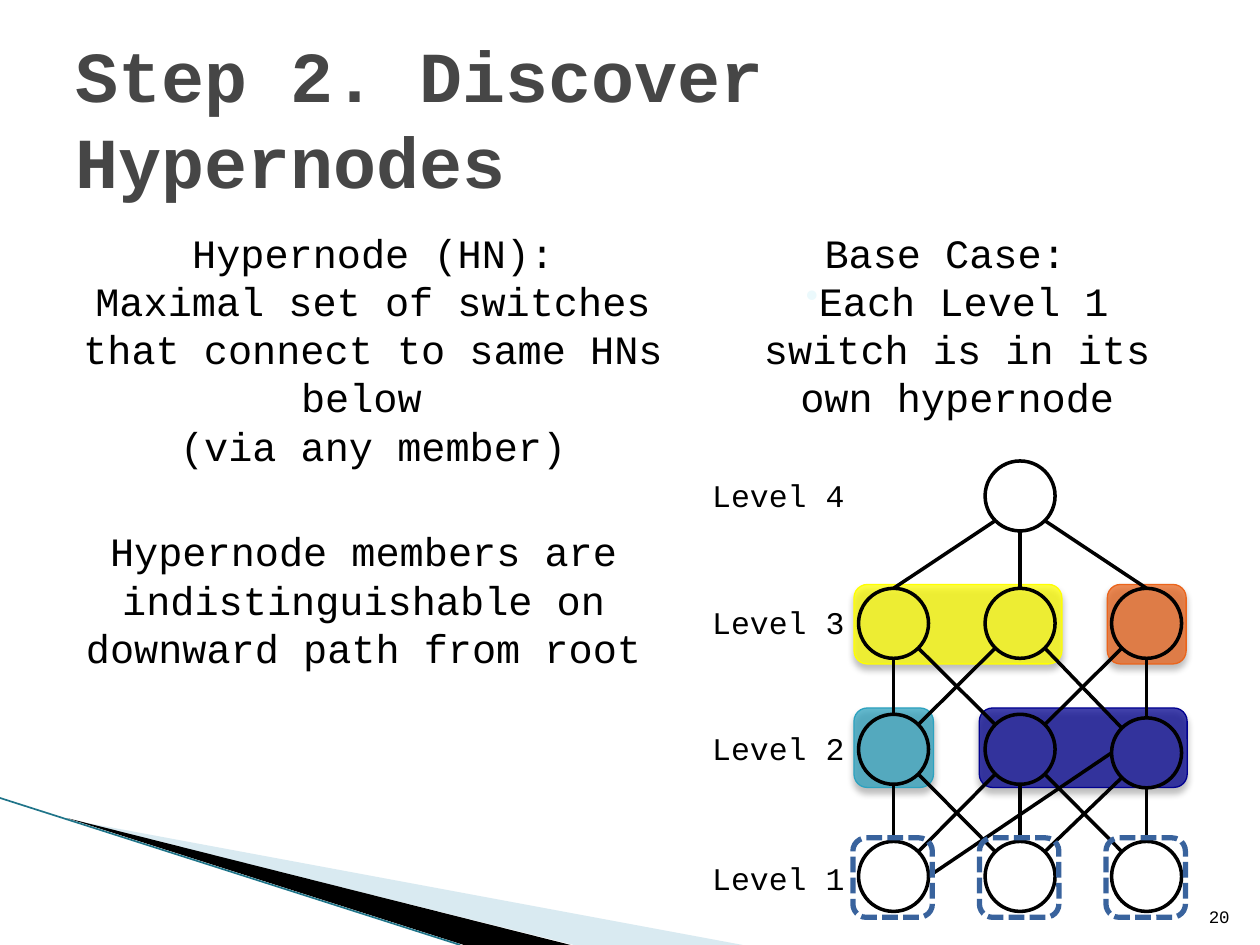
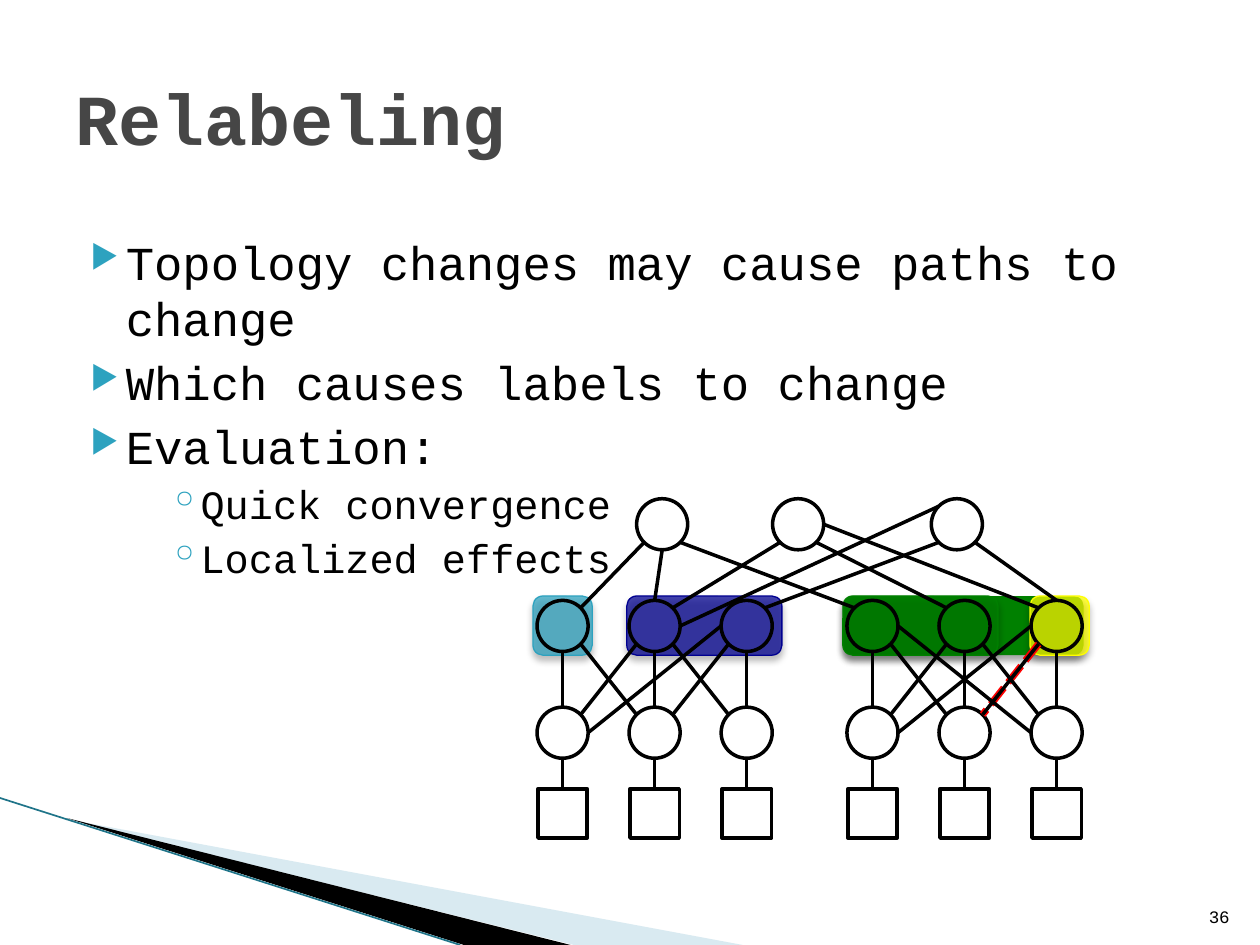
from dataclasses import dataclass
from typing import NamedTuple

from lxml import etree
from pptx import Presentation
from pptx.dml.color import RGBColor
from pptx.enum.dml import MSO_LINE
from pptx.enum.shapes import MSO_CONNECTOR, MSO_SHAPE
from pptx.enum.text import MSO_ANCHOR, PP_ALIGN
from pptx.oxml.ns import qn
from pptx.util import Pt

STRAIGHT = MSO_CONNECTOR.STRAIGHT
ELLIPSE, SQUARE, ROUNDED = MSO_SHAPE.OVAL, MSO_SHAPE.RECTANGLE, MSO_SHAPE.ROUNDED_RECTANGLE
DASHED = MSO_LINE.SQUARE_DOT
TOP, MIDDLE, BOTTOM = MSO_ANCHOR.TOP, MSO_ANCHOR.MIDDLE, MSO_ANCHOR.BOTTOM
LEFT, CENTER, RIGHT = PP_ALIGN.LEFT, PP_ALIGN.CENTER, PP_ALIGN.RIGHT

FONT = "Courier New"
BLACK, TITLE_GRAY, RED = "000000", "464646", "FF0000"
TEAL, NAVY, ORANGE, YELLOW, GREEN = "2DA2BF", "000090", "EB641B", "FFFF00", "008000"
PALE_BLUE, BAND_LINE, DASH_BLUE, FAINT_BULLET = "A0CBDC", "1F7489", "39639D", "EBF9FC"
HYPERNODE_ALPHA = 73

DIAGONAL = 0.707
COMPASS = {
    "N": (0, -1), "S": (0, 1), "W": (-1, 0), "E": (1, 0),
    "NW": (-DIAGONAL, -DIAGONAL), "NE": (DIAGONAL, -DIAGONAL),
    "SW": (-DIAGONAL, DIAGONAL), "SE": (DIAGONAL, DIAGONAL),
}


class Area(NamedTuple):
    left: float
    top: float
    width: float
    height: float


class Node(NamedTuple):
    x: float
    y: float
    radius: float

    def edge(self, side: str) -> tuple[float, float]:
        across, down = COMPASS[side]
        return self.x + across * self.radius, self.y + down * self.radius


class Link(NamedTuple):
    upper: str
    leave: str
    lower: str
    enter: str


class Hypernode(NamedTuple):
    area: Area
    color: str
    alpha: int = HYPERNODE_ALPHA
    outlined: bool = True


class Bullet(NamedTuple):
    mark: str
    color: str
    percent: int = 100
    margin: float = 0
    indent: float = 0


@dataclass(frozen=True)
class Line:
    text: str
    size: float = 23
    align: PP_ALIGN = CENTER
    color: str = BLACK
    bold: bool = False
    bullet: Bullet | None = None
    space_before: float = 0


def rgb(value: str) -> RGBColor:
    return RGBColor.from_string(value)


def points(*values: float) -> list[Pt]:
    return [Pt(round(value, 2)) for value in values]


def paint(shape, fill: str | None, alpha: int = 100) -> None:
    shape.shadow.inherit = False
    if fill is None:
        shape.fill.background()
        return
    shape.fill.solid()
    shape.fill.fore_color.rgb = rgb(fill)
    if alpha < 100:
        tint = shape._element.xpath("./p:spPr/a:solidFill/a:srgbClr")[0]
        etree.SubElement(tint, qn("a:alpha"), val=str(alpha * 1000))


def outline(shape, color: str | None, width: float = 2, dashed: bool = False) -> None:
    if color is None:
        shape.line.fill.background()
        return
    shape.line.color.rgb = rgb(color)
    shape.line.width = Pt(width)
    if dashed:
        shape.line.dash_style = DASHED


def add_shadow(shape) -> None:
    effects = shape._element.spPr.find(qn("a:effectLst"))
    shadow = etree.SubElement(
        effects, qn("a:outerShdw"), blurRad=str(Pt(4)), dist=str(Pt(3)),
        dir="5400000", rotWithShape="0",
    )
    tint = etree.SubElement(shadow, qn("a:srgbClr"), val=BLACK)
    etree.SubElement(tint, qn("a:alpha"), val="35000")


def add_outline_shape(page, kind: MSO_SHAPE, area: Area, color: str = BLACK,
                      width: float = 2, dashed: bool = False):
    shape = page.shapes.add_shape(kind, *points(*area))
    paint(shape, None)
    outline(shape, color, width, dashed)
    return shape


def add_hypernode(page, hypernode: Hypernode) -> None:
    shape = page.shapes.add_shape(ROUNDED, *points(*hypernode.area))
    paint(shape, hypernode.color, hypernode.alpha)
    outline(shape, hypernode.color if hypernode.outlined else None, 0.75)
    add_shadow(shape)


def add_line(page, start: tuple[float, float], end: tuple[float, float],
             color: str = BLACK, width: float = 2, dashed: bool = False):
    line = page.shapes.add_connector(STRAIGHT, *points(*start, *end))
    outline(line, color, width, dashed)
    etree.SubElement(line._element.spPr, qn("a:effectLst"))
    return line


def add_node(page, node: Node) -> None:
    size = 2 * node.radius
    add_outline_shape(page, ELLIPSE,
                      Area(node.x - node.radius, node.y - node.radius, size, size))


def add_link(page, nodes: dict[str, Node], link: Link, color: str = BLACK,
             width: float = 2, dashed: bool = False) -> None:
    add_line(page, nodes[link.upper].edge(link.leave), nodes[link.lower].edge(link.enter),
             color, width, dashed)


def add_band(page, corners: list[tuple[float, float]], color: str, alpha: int = 100) -> None:
    start, *others = corners
    builder = page.shapes.build_freeform(*points(*start), scale=1.0)
    builder.add_line_segments([points(*corner) for corner in others], close=True)
    band = builder.convert_to_shape()
    paint(band, color, alpha)
    outline(band, None)


def set_bullet(para, bullet: Bullet) -> None:
    properties = para._p.get_or_add_pPr()
    properties.set("marL", str(Pt(bullet.margin)))
    properties.set("indent", str(Pt(bullet.indent)))
    tint = etree.SubElement(properties, qn("a:buClr"))
    etree.SubElement(tint, qn("a:srgbClr"), val=bullet.color)
    etree.SubElement(properties, qn("a:buSzPct"), val=str(bullet.percent * 1000))
    etree.SubElement(properties, qn("a:buChar"), char=bullet.mark)


def add_text(page, area: Area, lines: list[Line], anchor: MSO_ANCHOR = TOP) -> None:
    frame = page.shapes.add_textbox(*points(*area)).text_frame
    frame.word_wrap = True
    frame.vertical_anchor = anchor
    for index, line in enumerate(lines):
        para = frame.add_paragraph() if index else frame.paragraphs[0]
        para.text = line.text
        para.alignment = line.align
        if line.bullet:
            set_bullet(para, line.bullet)
        if index and line.space_before:
            para.space_before = Pt(line.space_before)
        para.font.name = FONT
        para.font.size = Pt(line.size)
        para.font.bold = line.bold
        para.font.color.rgb = rgb(line.color)


def add_page(deck, title: str, number: int):
    page = deck.slides.add_slide(deck.slide_layouts[6])
    add_band(page, [(39.6, 468.4), (424.4, 540), (328, 540)], PALE_BLUE, 40)
    add_band(page, [(38.2, 467.5), (326, 540), (265, 540)], BLACK)
    add_line(page, (0, 456), (263, 540), BAND_LINE, 0.95)
    add_text(page, Area(36, 21.6, 648, 90),
             [Line(title, 41, LEFT, TITLE_GRAY, True)], MIDDLE)
    add_text(page, Area(681, 504.7, 28.8, 28.8), [Line(str(number), 10, RIGHT)], BOTTOM)
    return page


def pod_links(upper: str, lower: str) -> list[Link]:
    links = [Link(f"{upper}{n}", "S", f"{lower}{n}", "N") for n in (1, 2, 3)]
    for n in (1, 2):
        links.append(Link(f"{upper}{n}", "SE", f"{lower}{n + 1}", "NW"))
        links.append(Link(f"{upper}{n + 1}", "SW", f"{lower}{n}", "NE"))
    return links + [Link(f"{upper}3", "W", f"{lower}1", "E")]


def build_hypernodes(deck) -> None:
    page = add_page(deck, "Step 2. Discover Hypernodes", 20)
    add_text(page, Area(36, 126.7, 355, 136), [
        Line("Hypernode (HN):"),
        Line("Maximal set of switches that connect to same HNs below "),
        Line("(via any member)"),
    ])
    add_text(page, Area(20.9, 297.4, 374.4, 126.7), [
        Line("Hypernode members are indistinguishable on downward path from root"),
    ])
    add_text(page, Area(410.4, 126.7, 273.6, 100.8), [
        Line("Base Case: "),
        Line("Each Level 1 switch is in its own hypernode",
             bullet=Bullet("•", FAINT_BULLET, 90)),
    ])

    for hypernode in (
        Hypernode(Area(488, 404.6, 45.4, 45.4), TEAL),
        Hypernode(Area(559.6, 404.6, 118.8, 45.4), NAVY),
        Hypernode(Area(632.8, 334, 45, 45.4), ORANGE),
        Hypernode(Area(488, 334, 118.8, 45.4), YELLOW),
    ):
        add_hypernode(page, hypernode)

    radius = 20
    columns = [510.6 + 72.3 * n for n in range(3)]
    rows = {"high": 356.2, "mid": 428.2, "low": 500.8}
    nodes = {f"{row}{n}": Node(x, y, radius)
             for row, y in rows.items() for n, x in enumerate(columns, 1)}
    nodes["mid3"] = nodes["mid3"]._replace(y=430.2)
    nodes["root"] = Node(columns[1], 283.4, radius)
    links = pod_links("mid", "low")
    links += [link for link in pod_links("high", "mid")
              if link.leave != "W" and link[::2] != ("high2", "mid2")]
    links += [Link("root", side, f"high{n}", "N") for n, side in enumerate(("SW", "S", "SE"), 1)]
    for node in nodes.values():
        add_node(page, node)
    for link in links:
        add_link(page, nodes, link)

    for x in columns:
        add_outline_shape(page, ROUNDED, Area(x - 23.2, 478.8, 45.4, 45.4), DASH_BLUE, 3, True)
    for level, top in enumerate((487.4, 413.3, 341.3, 268.6), 1):
        add_text(page, Area(395.3, top, 94.3, 28.8), [Line(f"Level {level}", 18, RIGHT)])


def build_relabeling(deck) -> None:
    page = add_page(deck, "Relabeling", 36)
    top, height = 340.6, 33.8
    for hypernode in (
        Hypernode(Area(481.7, top, 137.5, height), GREEN, 100, False),
        Hypernode(Area(588.6, top, height, height), YELLOW),
        Hypernode(Area(481.7, top, 88.6, height), GREEN),
        Hypernode(Area(304.6, top, height, height), TEAL),
        Hypernode(Area(358.2, top, 88.6, height), NAVY),
    ):
        add_hypernode(page, hypernode)

    point = Bullet("▶", TEAL, 68, 28.8, -20.2)
    detail = Bullet("◦", TEAL, 100, 71.3, -18)
    statements = ("Topology changes may cause paths to change",
                  "Which causes labels to change", "Evaluation:")
    effects = ("Quick convergence", "Localized effects")
    add_text(page, Area(36, 129.6, 648, 365),
             [Line(text, 27, LEFT, bullet=point, space_before=4) for text in statements]
             + [Line(text, 23, LEFT, bullet=detail, space_before=3.2) for text in effects])

    radius, host_size = 14.6, 28.2
    nodes = {f"root{n}": Node(x, 299.6, radius) for n, x in enumerate((378.4, 456.1, 546.8), 1)}
    for pod, first in (("left", 321.5), ("right", 498.6)):
        for row, y in (("upper", 357.7), ("lower", 418.7)):
            for n in range(3):
                nodes[f"{pod}_{row}{n + 1}"] = Node(first + 52.6 * n, y, radius)

    failed = Link("right_upper3", "SW", "right_lower2", "NE")
    links = [link for pod in ("left", "right")
             for link in pod_links(f"{pod}_upper", f"{pod}_lower")]
    links += [
        Link("right_upper1", "E", "right_lower3", "W"),
        Link("root1", "SW", "left_upper1", "NE"),
        Link("root1", "S", "left_upper2", "N"),
        Link("root1", "SE", "right_upper1", "NW"),
        Link("root2", "SW", "left_upper2", "NE"),
        Link("root2", "SE", "right_upper2", "NW"),
        Link("root2", "E", "right_upper3", "NW"),
        Link("root3", "NW", "left_upper2", "E"),
        Link("root3", "SW", "left_upper3", "NE"),
        Link("root3", "SE", "right_upper3", "N"),
    ]
    for node in nodes.values():
        add_node(page, node)
    add_link(page, nodes, failed, RED, 4, True)
    for link in links:
        add_link(page, nodes, link)

    for name, node in nodes.items():
        if "lower" in name:
            host = add_outline_shape(
                page, SQUARE, Area(node.x - host_size / 2, 450.7, host_size, host_size))
            cable = add_line(page, (node.x, 450.7), node.edge("S"))
            cable.begin_connect(host, 0)


def main() -> None:
    deck = Presentation()
    deck.slide_width, deck.slide_height = Pt(720), Pt(540)
    build_hypernodes(deck)
    build_relabeling(deck)
    deck.save("out.pptx")


if __name__ == "__main__":
    main()
